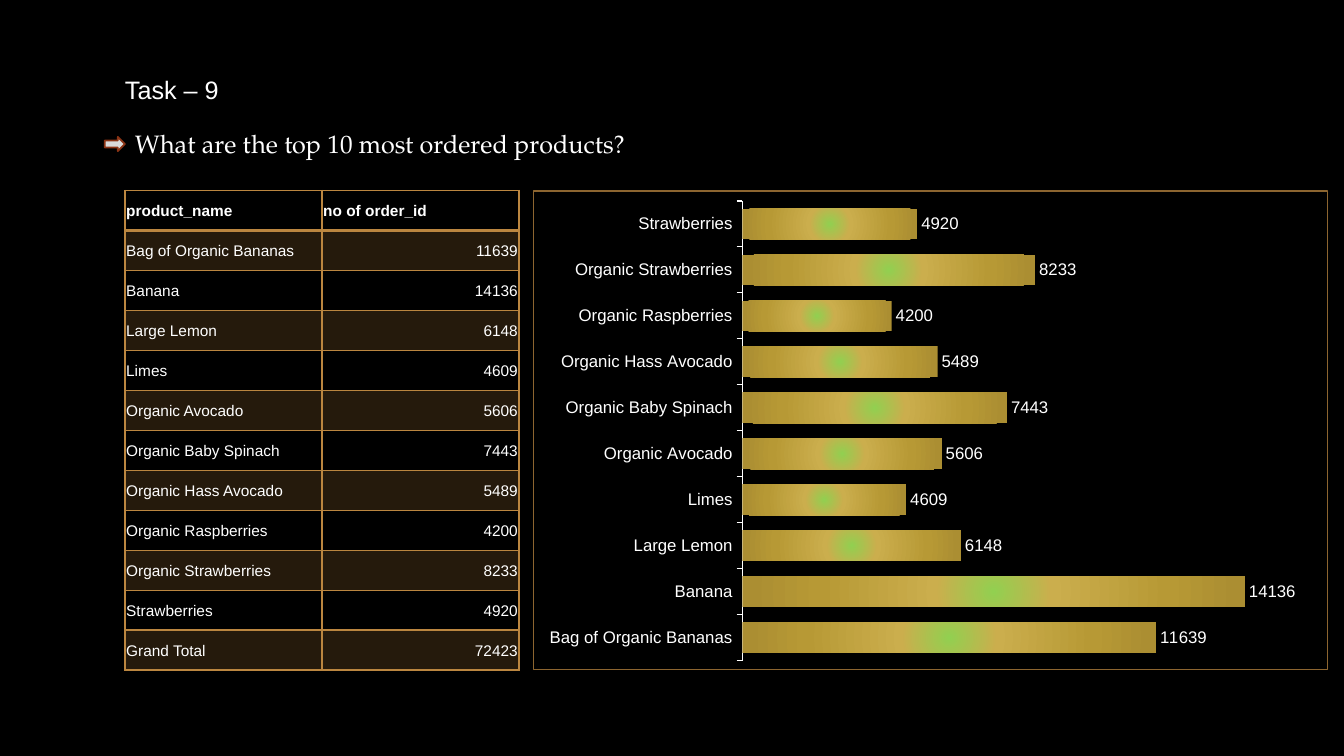
from lxml import etree
from pptx import Presentation
from pptx.chart.data import CategoryChartData
from pptx.dml.color import RGBColor
from pptx.enum.chart import XL_CHART_TYPE as ChartType, XL_LABEL_POSITION as LabelPos
from pptx.enum.chart import XL_TICK_LABEL_POSITION as TickLabel, XL_TICK_MARK as Tick
from pptx.enum.shapes import MSO_SHAPE as Preset
from pptx.enum.text import MSO_ANCHOR as Anchor, PP_ALIGN as Align
from pptx.oxml import parse_xml
from pptx.oxml.ns import nsdecls, qn
from pptx.util import Cm, Pt

# Content
HEADING = "Task – 9"
QUESTION = "What are the top 10 most ordered products?"
COLUMNS = ("product_name", "no of order_id")
PRODUCTS = [
    ("Bag of Organic Bananas", 11639),
    ("Banana", 14136),
    ("Large Lemon", 6148),
    ("Limes", 4609),
    ("Organic Avocado", 5606),
    ("Organic Baby Spinach", 7443),
    ("Organic Hass Avocado", 5489),
    ("Organic Raspberries", 4200),
    ("Organic Strawberries", 8233),
    ("Strawberries", 4920),
]
TOTAL = ("Grand Total", sum(orders for _, orders in PRODUCTS))

# Format values
WHITE, BRONZE = "FFFFFF", "BB8640"
HEADING_FONT = {"name": "Arial", "size": Pt(18)}
QUESTION_FONT = {"name": "TeX Gyre Pagella", "size": Pt(18)}
HEADER_FONT = {"name": "Arial", "size": Pt(11), "bold": True}
ROW_FONT = {**HEADER_FONT, "bold": False}
CHART_FONT = {"name": "Arial", "size": Pt(12), "bold": False}
CELL_FORMAT = {"vertical_anchor": Anchor.MIDDLE, "margin_left": Cm(0.03),
               "margin_right": Cm(0.03), "margin_top": Cm(0.03), "margin_bottom": 0}
BAR_STOPS = [(0, "92D050"), (23, "CBAE4D"), (69, "B79935"), (97, "AB8E32")]
PLOT_AREA = {"x": 0.263, "y": 0.021, "w": 0.717, "h": 0.96}

# Shared band of table and chart
BAND_TOP, BAND_HEIGHT = Cm(4.8), Cm(12.09)
TABLE_LEFT, TABLE_WIDTH = Cm(3.15), Cm(9.93)
CHART_LEFT, CHART_WIDTH = Cm(13.44), Cm(20.02)


def color(value):
    return RGBColor.from_string(value)


def assign(target, values):
    for attribute, value in values.items():
        setattr(target, attribute, value)


def style_font(font, values):
    assign(font, values)
    font.color.rgb = color(WHITE)


def add_line_of_text(slide, text, font, left, top, width):
    frame = slide.shapes.add_textbox(left, top, width, Cm(1.02)).text_frame
    frame.word_wrap = False
    frame.text = text
    style_font(frame.paragraphs[0].font, font)


def add_borders(cell, widths):
    for index, (side, width) in enumerate(widths.items()):
        cell._tc.get_or_add_tcPr().insert(index, parse_xml(
            f'<a:ln{side} {nsdecls("a")} w="{Pt(width)}"><a:solidFill>'
            f'<a:srgbClr val="{BRONZE}"/></a:solidFill></a:ln{side}>'))


def add_orders_table(slide):
    rows = [COLUMNS, *PRODUCTS, TOTAL]
    orders = slide.shapes.add_table(len(rows), len(COLUMNS), TABLE_LEFT, BAND_TOP,
                                    TABLE_WIDTH, BAND_HEIGHT).table
    orders.horz_banding = False
    for r, row in enumerate(rows):
        orders.rows[r].height = BAND_HEIGHT // len(rows)
        for c, value in enumerate(row):
            cell = orders.cell(r, c)
            assign(cell, CELL_FORMAT)
            cell.text = str(value)
            entry = cell.text_frame.paragraphs[0]
            style_font(entry.font, ROW_FONT if r else HEADER_FONT)
            entry.alignment = Align.RIGHT if r and c else Align.LEFT
            if r % 2:
                cell.fill.solid()
                cell.fill.fore_color.rgb = color(BRONZE)
                tint = cell._tc.tcPr.find(".//" + qn("a:srgbClr"))
                etree.SubElement(tint, qn("a:alpha"), val="20000")
            else:
                cell.fill.background()
            # The rule under the header is twice as thick
            add_borders(cell, {"L": 1, "R": 1, "T": 2 if r == 1 else 1,
                               "B": 1 if r else 2})


def add_orders_chart(slide):
    data = CategoryChartData()
    data.categories = [name for name, _ in PRODUCTS]
    data.add_series("Series 1", [orders for _, orders in PRODUCTS])
    chart = slide.shapes.add_chart(ChartType.BAR_CLUSTERED, CHART_LEFT, BAND_TOP,
                                   CHART_WIDTH, BAND_HEIGHT, data).chart
    assign(chart, {"has_legend": False, "has_title": False})
    style_font(chart.font, {**CHART_FONT, "size": Pt(10)})

    # Axes
    products = chart.category_axis
    assign(products, {"major_tick_mark": Tick.OUTSIDE, "minor_tick_mark": Tick.NONE,
                      "tick_label_position": TickLabel.LOW, "has_major_gridlines": False})
    style_font(products.tick_labels.font, CHART_FONT)
    products.format.line.color.rgb = color(WHITE)
    products.format.line.width = Pt(0.75)
    assign(chart.value_axis, {"visible": False, "has_major_gridlines": False,
                              "minimum_scale": 0, "maximum_scale": 16000})

    # Bars and their values
    plot = chart.plots[0]
    assign(plot, {"gap_width": 50, "vary_by_categories": False, "has_data_labels": True})
    assign(plot.data_labels, {"show_value": True, "position": LabelPos.OUTSIDE_END})
    style_font(plot.data_labels.font, CHART_FONT)
    bars = plot.series[0]
    bars.invert_if_negative = False
    bars.format.fill.solid()
    stops = "".join(f'<a:gs pos="{at * 1000}"><a:srgbClr val="{tone}"/></a:gs>'
                    for at, tone in BAR_STOPS)
    solid = bars._element.spPr.find(qn("a:solidFill"))
    solid.getparent().replace(solid, parse_xml(
        f'<a:gradFill {nsdecls("a")}><a:gsLst>{stops}</a:gsLst><a:path path="circle">'
        '<a:fillToRect l="50000" t="50000" r="50000" b="50000"/></a:path></a:gradFill>'))

    # Plot area and outer frame
    space = chart._chartSpace
    area = space.chart.plotArea
    for old in area.findall(qn("c:layout")):
        area.remove(old)
    modes = '<c:xMode val="edge"/><c:yMode val="edge"/>'
    sizes = "".join(f'<c:{key} val="{part}"/>' for key, part in PLOT_AREA.items())
    area.insert(0, parse_xml(
        f'<c:layout {nsdecls("c")}><c:manualLayout><c:layoutTarget val="inner"/>'
        f'{modes}{sizes}</c:manualLayout></c:layout>'))
    space.chart.addnext(parse_xml(
        f'<c:spPr {nsdecls("c", "a")}><a:noFill/><a:ln w="{Pt(0.75)}"><a:solidFill>'
        '<a:srgbClr val="8C6530"/></a:solidFill></a:ln></c:spPr>'))


def main():
    deck = Presentation()
    assign(deck, {"slide_width": Cm(33.87), "slide_height": Cm(19.05)})
    slide = deck.slides.add_slide(deck.slide_layouts[6])
    slide.background.fill.solid()
    slide.background.fill.fore_color.rgb = color("000000")

    # Heading and question with its arrow
    add_line_of_text(slide, HEADING, HEADING_FONT, Cm(2.9), Cm(1.75), Cm(5.82))
    arrow = slide.shapes.add_shape(Preset.RIGHT_ARROW, Cm(2.64), Cm(3.45), Cm(0.51), Cm(0.36))
    arrow.shadow.inherit = False
    arrow.fill.solid()
    arrow.fill.fore_color.rgb = color("DADADA")
    arrow.line.color.rgb = color("8B3314")
    arrow.line.width = Pt(1.25)
    add_line_of_text(slide, QUESTION, QUESTION_FONT, TABLE_LEFT, Cm(3.12), Cm(13.03))

    add_orders_table(slide)
    add_orders_chart(slide)
    deck.save("out.pptx")


if __name__ == "__main__":
    main()
